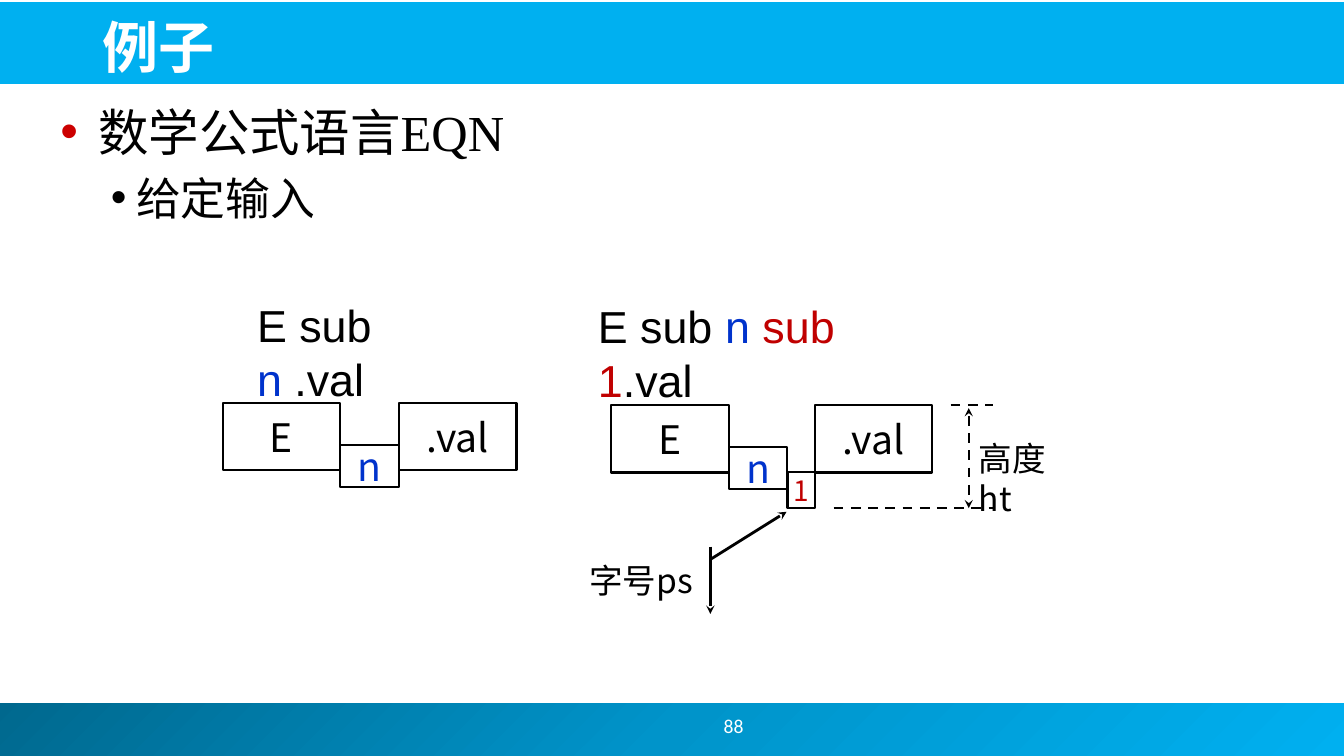
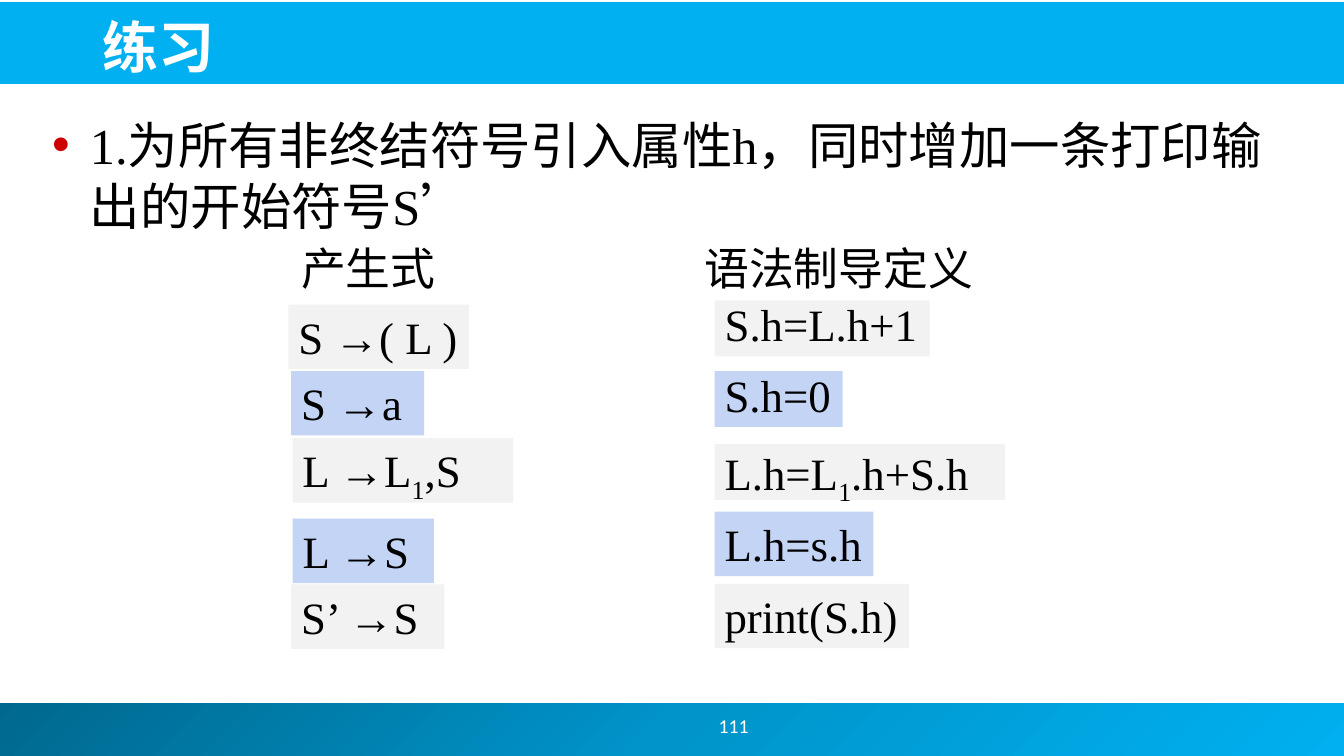
from copy import deepcopy

from lxml.etree import SubElement
from pptx import Presentation
from pptx.dml.color import RGBColor
from pptx.enum.dml import MSO_LINE
from pptx.enum.shapes import MSO_CONNECTOR, MSO_SHAPE as Preset
from pptx.enum.text import MSO_ANCHOR as Anchor, MSO_AUTO_SIZE, PP_ALIGN as Align
from pptx.oxml.ns import qn
from pptx.util import Pt

SANS, SERIF, ARIAL = "Noto Sans CJK SC", "Times New Roman", "Arial"
TITLE_FONT = "Noto Sans CJK JP"
BLACK, WHITE, SKY = "000000", "FFFFFF", "00B0F0"
BLUE, RED, BULLET_RED = "0033CC", "C00000", "CC0000"
GREY, PALE_BLUE = "F2F2F2", "C3D4F5"
SUBSCRIPT = {"baseline": -25000}


def rgb(color):
    return RGBColor.from_string(color)


def add_node(parent, tag, **attributes):
    return SubElement(parent, qn(tag), attributes)


def write(para, text, size=32, font=SANS, color=BLACK, bold=False,
          align=Align.LEFT, before=0, spacing=None):
    """Fill a paragraph; text is a string or a list of (string, changes) spans."""
    para.alignment = align
    para.space_before = Pt(before)
    if spacing:
        para.line_spacing = spacing
    for words, changes in [(text, {})] if isinstance(text, str) else text:
        span = para.add_run()
        span.text = words
        span.font.size = Pt(size)
        span.font.name = font
        span.font.bold = bold
        span.font.color.rgb = rgb(changes.get("color", color))
        properties = span.font._element
        add_node(properties, "a:ea", typeface=TITLE_FONT if font == TITLE_FONT else SANS)
        if "baseline" in changes:
            properties.set("baseline", str(changes["baseline"]))


class Lecture:
    """Holds the deck, its style and the page being filled."""

    def __init__(self):
        self.deck = Presentation()
        self.deck.slide_width, self.deck.slide_height = Pt(960), Pt(540)
        self.page = None

    def new_page(self, title, number):
        first = self.page is None
        self.page = self.deck.slides.add_slide(self.deck.slide_layouts[1])
        if first:
            self.add_master_bands()
        heading = self.page.shapes.title
        self.place(heading, 66, 3.5, 863, 57)
        self.frame(heading, anchor=Anchor.BOTTOM)
        write(heading.text_frame.paragraphs[0], title, size=40,
              font=TITLE_FONT, color=WHITE, bold=True)
        self.label(number, 420, 500.5, 208, 36, anchor=Anchor.MIDDLE, size=14,
                   font="Calibri", color=WHITE, align=Align.CENTER)

    def add_master_bands(self):
        """Draw the two bands, then move them to the slide master."""
        footer = self.rectangle(-3.5, 502.5, 964, 37.5, fill=SKY)
        footer.fill.gradient()
        footer.fill.gradient_angle = 315
        stops = footer._element.spPr.find(qn("a:gradFill")).find(qn("a:gsLst"))
        stops.append(deepcopy(stops[-1]))
        colors = ("00688E", "0094CA", SKY)
        for index, (stop, color) in enumerate(zip(footer.fill.gradient_stops, colors)):
            stop.position = index / 2
            stop.color.rgb = rgb(color)
        header = self.rectangle(-1.5, 1.5, 962, 58.5, fill=SKY)
        tree = self.deck.slide_master.shapes._spTree
        for band in (header, footer):
            tree.insert(2, band._element)

    @staticmethod
    def place(shape, left, top, width, height):
        shape.left, shape.top = Pt(left), Pt(top)
        shape.width, shape.height = Pt(width), Pt(height)

    @staticmethod
    def frame(shape, anchor=Anchor.TOP, wrap=True, sides=(7.2, 7.2)):
        frame = shape.text_frame
        frame.auto_size = MSO_AUTO_SIZE.NONE
        frame.word_wrap = wrap
        frame.vertical_anchor = anchor
        frame.margin_left, frame.margin_right = (Pt(side) for side in sides)
        frame.margin_top = frame.margin_bottom = Pt(3.6)
        return frame

    def bullets(self, items, left, top, width, height):
        """Fill the body; each item is (text, size, indent, hanging, bullet color)."""
        body = self.page.placeholders[1]
        self.place(body, left, top, width, height)
        frame = self.frame(body)
        for level, (text, size, indent, hanging, color) in enumerate(items):
            para = frame.add_paragraph() if level else frame.paragraphs[0]
            para.level = level
            properties = para._p.get_or_add_pPr()
            properties.set("marL", str(Pt(indent)))
            properties.set("indent", str(-Pt(hanging)))
            add_node(add_node(properties, "a:buClr"), "a:srgbClr", val=color)
            add_node(properties, "a:buFont", typeface=ARIAL)
            add_node(properties, "a:buChar", char="•")
            write(para, text, size=size, font=SERIF, before=6.4 * level)

    def label(self, text, left, top, width, height, anchor=Anchor.TOP,
              sides=(7.2, 7.2), tab=None, **style):
        box = self.page.shapes.add_textbox(Pt(left), Pt(top), Pt(width), Pt(height))
        para = self.frame(box, anchor, sides=sides).paragraphs[0]
        if tab:
            tabs = add_node(para._p.get_or_add_pPr(), "a:tabLst")
            add_node(tabs, "a:tab", pos=str(Pt(tab)), algn="l")
        write(para, text, **style)

    def rectangle(self, left, top, width, height, fill=None, line=None,
                  preset=Preset.RECTANGLE):
        shape = self.page.shapes.add_shape(preset, Pt(left), Pt(top), Pt(width), Pt(height))
        shape.shadow.inherit = False
        if fill:
            shape.fill.solid()
            shape.fill.fore_color.rgb = rgb(fill)
        else:
            shape.fill.background()
        if line:
            shape.line.color.rgb = rgb(BLACK)
            shape.line.width = Pt(line)
        else:
            shape.line.fill.background()
        return shape

    def glyph_box(self, text, left, top, width, height, size=28, color=BLACK):
        shape = self.rectangle(left, top, width, height, line=1.5)
        frame = self.frame(shape, Anchor.MIDDLE, sides=(0, 0))
        write(frame.paragraphs[0], text, size=size, color=color, align=Align.CENTER)

    def formula(self, left, top, value_offset):
        """Draw E with its subscript n, and .val at the given offset."""
        self.glyph_box("E", left, top, 84, 48)
        self.glyph_box("n", left + 84, top + 30, 42, 30, color=BLUE)
        self.glyph_box(".val", left + value_offset, top, 84, 48)

    def dashed_line(self, start, end, arrows=False):
        line = self.page.shapes.add_connector(
            MSO_CONNECTOR.STRAIGHT, *(Pt(value) for value in start + end))
        line.line.color.rgb = rgb(BLACK)
        line.line.width = Pt(1.75)
        line.line.dash_style = MSO_LINE.DASH
        if arrows:
            for end_tag in ("a:headEnd", "a:tailEnd"):
                add_node(line.line._get_or_add_ln(), end_tag, type="stealth")
        add_node(line._element.spPr, "a:effectLst")

    def callout(self, text, left, top, width, height, adjustments):
        shape = self.rectangle(left, top, width, height, fill=WHITE, line=2,
                               preset=Preset.LINE_CALLOUT_1_ACCENT_BAR)
        for index, value in enumerate(adjustments):
            shape.adjustments[index] = value
        shape._element.spPr.find(qn("a:xfrm")).set("flipH", "1")
        add_node(shape.line._get_or_add_ln(), "a:tailEnd", type="stealth")
        frame = self.frame(shape, Anchor.MIDDLE, wrap=False)
        write(frame.paragraphs[0], text, size=24)

    def chip(self, text, left, top, width, height, fill, spacing=None):
        shape = self.rectangle(left, top, width, height, fill=fill)
        frame = self.frame(shape, sides=(7.2, 0))
        write(frame.paragraphs[0], text, font=SERIF, spacing=spacing)


def build_example(lecture):
    lecture.new_page("例子", "88")
    lecture.bullets([("数学公式语言EQN", 36, 27, 27, BULLET_RED),
                     ("给定输入", 32, 54, 18, BLACK)], 36, 68.5, 862, 234)
    lecture.formula(159, 288, 126)
    lecture.formula(436.5, 289.5, 145.5)
    lecture.glyph_box("1", 562.5, 337, 19.5, 26, size=20, color=RED)
    blue, red = {"color": BLUE}, {"color": RED}
    narrow = (7.2, 20)
    lecture.label([("E sub ", {}), ("n", blue), (" .val", {})],
                  176.5, 209, 181.5, 45, sides=narrow, font=ARIAL)
    lecture.label([("E sub ", {}), ("n ", blue), ("sub 1", red), (".val", {})],
                  420, 210, 260, 45, sides=narrow, font=ARIAL)
    lecture.dashed_line((679, 289.5), (709, 289.5))
    lecture.dashed_line((595.5, 363), (709, 363))
    lecture.dashed_line((692, 291.5), (692, 363), arrows=True)
    lecture.label("高度ht", 692, 309, 88.5, 36, sides=narrow, size=24)
    lecture.callout("字号ps", 414, 390.5, 86.5, 48, (0.19, -0.08, -0.52, -0.71))


def build_exercise(lecture):
    lecture.new_page("练习", "111")
    task = "1.为所有非终结符号引入属性h，同时增加一条打印输出的开始符号S’"
    lecture.bullets([(task, 36, 27, 27, BULLET_RED)], 30, 78, 912, 102)
    lecture.label("产生式\t语法制导定义", 208, 174, 500, 41, tab=288,
                  font=TITLE_FONT, spacing=0.85)
    one = ("1", SUBSCRIPT)
    # Production: text, left, top, width; rule: text, top, width, line spacing
    rows = [
        ("S →( L )", 206, 217.5, 129, "S.h=L.h+1", 214.5, 153.5, 0.85),
        ("S →a", 208, 265, 95, "S.h=0", 265, 91.5, 0.85),
        ([("L →L", {}), one, (",S", {})], 209, 313, 157.5,
         [("L.h=L", {}), one, (".h+S.h", {})], 317, 207.5, 0.85),
        ("L →S", 209, 370.5, 101, "L.h=s.h", 365.5, 113.5, None),
        ("S’ →S", 208, 417.5, 109.5, "print(S.h)", 417, 139, None),
    ]
    for index, row in enumerate(rows):
        production, left, top, width, rule, rule_top, rule_width, spacing = row
        fill = PALE_BLUE if index % 2 else GREY
        lecture.chip(production, left, top, width, 46, fill)
        lecture.chip(rule, 510.5, rule_top, rule_width, 40 if spacing else 46, fill, spacing)


def main():
    lecture = Lecture()
    build_example(lecture)
    build_exercise(lecture)
    lecture.deck.save("out.pptx")


if __name__ == "__main__":
    main()
